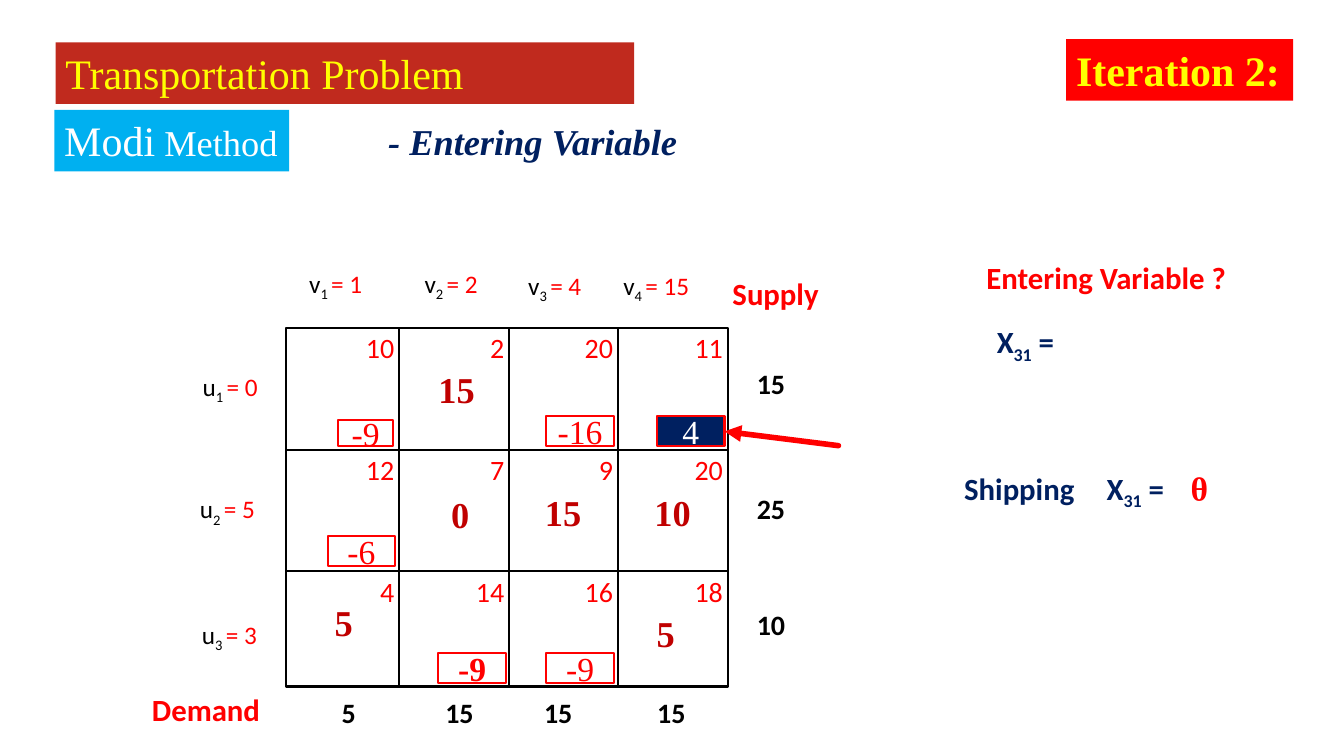
from pptx import Presentation
from pptx.dml.color import RGBColor
from pptx.enum.shapes import MSO_CONNECTOR, MSO_SHAPE
from pptx.enum.text import MSO_ANCHOR, PP_ALIGN
from pptx.oxml.ns import qn
from pptx.util import Cm, Pt
from lxml.etree import SubElement

SANS, SERIF = "Calibri", "Times New Roman"
RED, NAVY, WHITE, BLACK = "FF0000", "002060", "FFFFFF", "000000"
DARK_RED, YELLOW = "C00000", "FFFF00"
LEFT, CENTER, RIGHT = PP_ALIGN.LEFT, PP_ALIGN.CENTER, PP_ALIGN.RIGHT
TOP, MIDDLE = MSO_ANCHOR.TOP, MSO_ANCHOR.MIDDLE


def rgb(color):
    return RGBColor.from_string(color)


class Board:
    """Draws the elements of a transportation tableau on one slide."""

    def __init__(self, slide):
        self.s = slide

    def box(self, x, y, w, h, fill=None, line=None):
        frame = Cm(x), Cm(y), Cm(w), Cm(h)
        if not fill and not line:
            return self.s.shapes.add_textbox(*frame)
        sp = self.s.shapes.add_shape(MSO_SHAPE.RECTANGLE, *frame)
        sp.shadow.inherit = False
        if fill:
            sp.fill.solid()
            sp.fill.fore_color.rgb = rgb(fill)
        else:
            sp.fill.background()
        if line:
            sp.line.color.rgb = rgb(line)
            sp.line.width = Pt(1.5)
        else:
            sp.line.fill.background()
        return sp

    def text(self, frame, runs, size, color, font=SANS, bold=False, italic=False,
             align=LEFT, anchor=MIDDLE, fill=None, line=None, wrap=True):
        sp = self.box(*frame, fill, line)
        tf = sp.text_frame
        tf.word_wrap = wrap
        tf.vertical_anchor = anchor
        p = tf.paragraphs[0]
        p.alignment = align
        p.font.name, p.font.size = font, Pt(size)
        p.font.bold, p.font.italic = bold, italic
        p.font.color.rgb = rgb(color)
        for run in [runs] if isinstance(runs, str) else runs:
            content, style = (run, {}) if isinstance(run, str) else run
            r = p.add_run()
            r.text = content
            if "color" in style:
                r.font.color.rgb = rgb(style["color"])
            if "size" in style:
                r.font.size = Pt(style["size"])
            if style.get("sub"):
                r._r.get_or_add_rPr().set("baseline", "-25000")
        return sp

    def centered(self, x, y, w, h, runs, size, color, **style):
        return self.text((x - w / 2, y - h / 2, w, h), runs, size, color,
                         align=CENTER, **style)

    def multiplier(self, x, y, w, letter, index, value):
        runs = [letter, (f"{index} ", {"sub": True}), (f"= {value}", {"color": RED})]
        self.centered(x, y, w, 1.75, runs, 18, BLACK, fill=WHITE, wrap=False)

    def variable(self, x, y, h):
        self.text((x, y, 2.39, h), ["X", ("31", {"sub": True}), " ="], 22, NAVY,
                  bold=True, fill=WHITE)

    def arrow(self, x, y, target):
        c = self.s.shapes.add_connector(MSO_CONNECTOR.STRAIGHT, Cm(x), Cm(y), 0, 0)
        c.end_connect(target, 3)
        c.line.color.rgb = rgb(RED)
        c.line.width = Pt(4)
        ln = c.line._get_or_add_ln()
        ln.set("cap", "rnd")
        SubElement(ln, qn("a:tailEnd"), type="triangle")
        SubElement(c._element.spPr, qn("a:effectLst"))


def draw_tableau(board):
    cols = [7.21, 10.06, 12.83, 15.57, 18.34]
    rows = [8.26, 11.33, 14.4, 17.3]
    costs = [[10, 2, 20, 11], [12, 7, 9, 20], [4, 14, 16, 18]]
    cells = [(i, j) for i in range(3) for j in range(4)]
    for i, j in cells:
        board.box(cols[j], rows[i], cols[j + 1] - cols[j], rows[i + 1] - rows[i],
                  WHITE, BLACK)
    for i, j in cells:
        board.text((cols[j + 1] - 1.37, rows[i] - 0.1, 1.5, 1.2), str(costs[i][j]),
                   20, RED, align=RIGHT)

    for i, (x, y, value) in enumerate([(5.8, 9.79, 0), (5.73, 12.87, 5), (5.78, 16.04, 3)]):
        board.multiplier(x, y, 2, "u", i + 1, value)
    for j, (x, y, value) in enumerate([(8.46, 7.19, 1), (11.37, 7.19, 2),
                                       (13.98, 7.24, 4), (16.54, 7.24, 15)]):
        board.multiplier(x, y, 2.4, "v", j + 1, value)

    supply = [(19.43, 9.66, 15), (19.43, 12.81, 25), (19.43, 15.74, 10)]
    demand = [(8.79, 17.96, 5), (11.58, 17.96, 15), (14.07, 17.94, 15), (16.92, 17.94, 15)]
    for x, y, amount in supply + demand:
        board.centered(x, y, 1.37, 1.75, str(amount), 20, BLACK, bold=True)
    board.text((18.21, 6.81, 3.18, 1.19), "Supply", 22, RED, bold=True, anchor=TOP)
    board.text((3.58, 17.27, 3.66, 1.19), "Demand", 22, RED, bold=True, anchor=TOP)

    for x, y, amount in [(11.51, 9.8, 15), (11.6, 12.95, 0), (14.19, 12.9, 15),
                         (16.95, 12.9, 10), (8.66, 15.67, 5), (16.78, 15.95, 5)]:
        board.centered(x, y, 1.8, 1.27, str(amount), 26, DARK_RED, font=SERIF, bold=True)

    for x, y, w, h, value, bold in [(8.53, 10.59, 1.37, 0.66, "-9", False),
                                    (13.77, 10.49, 1.7, 0.76, "-16", False),
                                    (8.26, 13.51, 1.7, 0.76, "-6", False),
                                    (11.05, 16.46, 1.7, 0.76, "-9", True),
                                    (13.77, 16.46, 1.7, 0.76, "-9", False)]:
        board.text((x, y, w, h), value, 24, RED, font=SERIF, bold=bold,
                   align=CENTER, line=RED)
    entering = board.text((16.56, 10.49, 1.7, 0.76), "4", 24, WHITE, font=SERIF,
                          align=CENTER, fill=NAVY, line=RED)
    board.arrow(21.13, 11.23, entering)


def draw_headings(board):
    board.text((1.4, 1.07, 14.58, 1.55), "Transportation Problem", 30, YELLOW,
               font=SERIF, anchor=TOP, fill="C02A1E")
    board.text((1.37, 2.77, 5.92, 1.55), ["Modi", (" Method", {"size": 26})], 30, WHITE,
               font=SERIF, anchor=TOP, fill="00B0F0")
    board.text((9.53, 2.87, 8.36, 1.37), "- Entering Variable", 26, NAVY,
               font=SERIF, bold=True, italic=True, anchor=TOP)
    board.text((26.87, 0.99, 5.72, 1.55), "Iteration 2:", 30, YELLOW,
               font=SERIF, bold=True, anchor=TOP, fill=RED)


def draw_entering_variable(board):
    theta = board.text((29.77, 11.94, 1.37, 1.9), "ᶿ", 40, RED, font=SERIF,
                       bold=True, fill=WHITE)
    theta.text_frame.margin_bottom = Cm(1.02)
    board.variable(27.64, 10.82, 3.07)
    board.text((24.05, 11.71, 3.71, 1.17), "Shipping", 22, NAVY, bold=True, fill=WHITE)
    board.text((24.61, 5.84, 7.92, 2.31), "Entering Variable ?", 22, RED, bold=True)
    board.variable(24.87, 7.7, 1.93)


def main():
    prs = Presentation()
    prs.slide_width, prs.slide_height = Cm(33.87), Cm(19.05)
    board = Board(prs.slides.add_slide(prs.slide_layouts[6]))
    draw_tableau(board)
    draw_headings(board)
    draw_entering_variable(board)
    prs.save("out.pptx")


if __name__ == "__main__":
    main()
